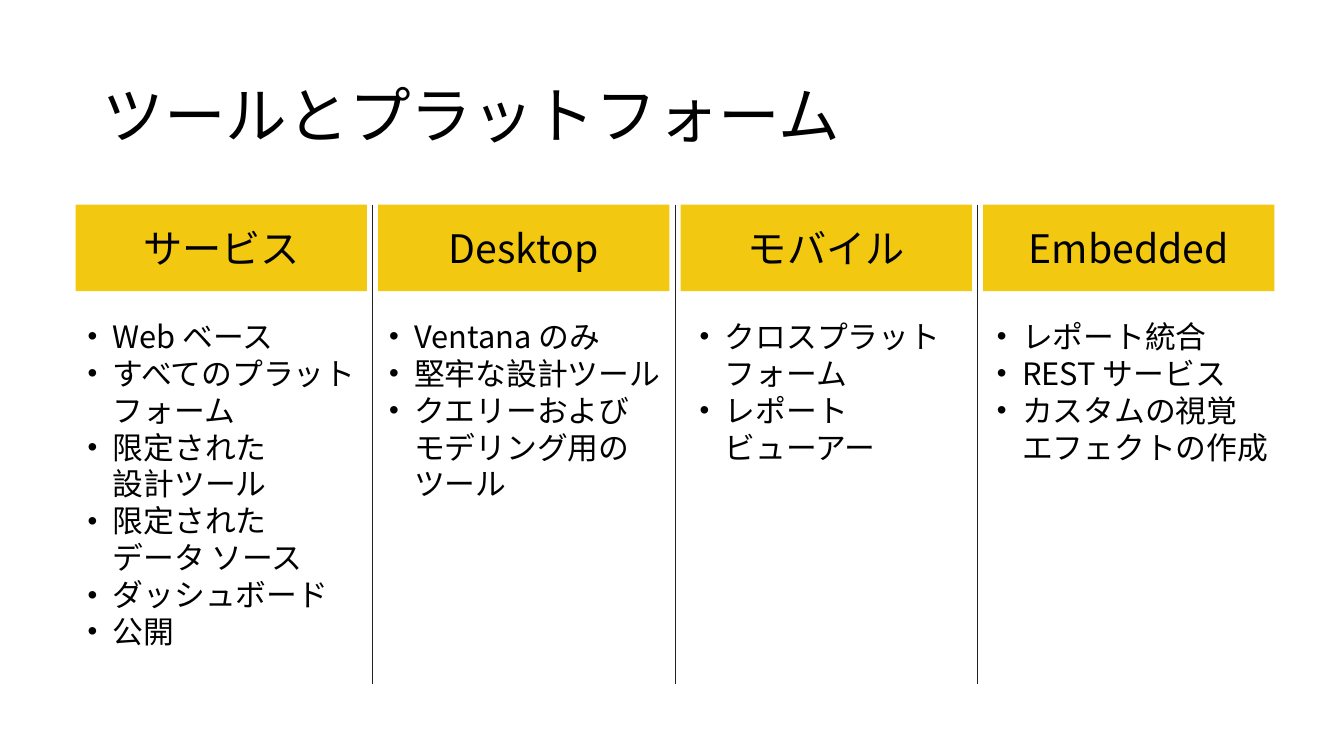
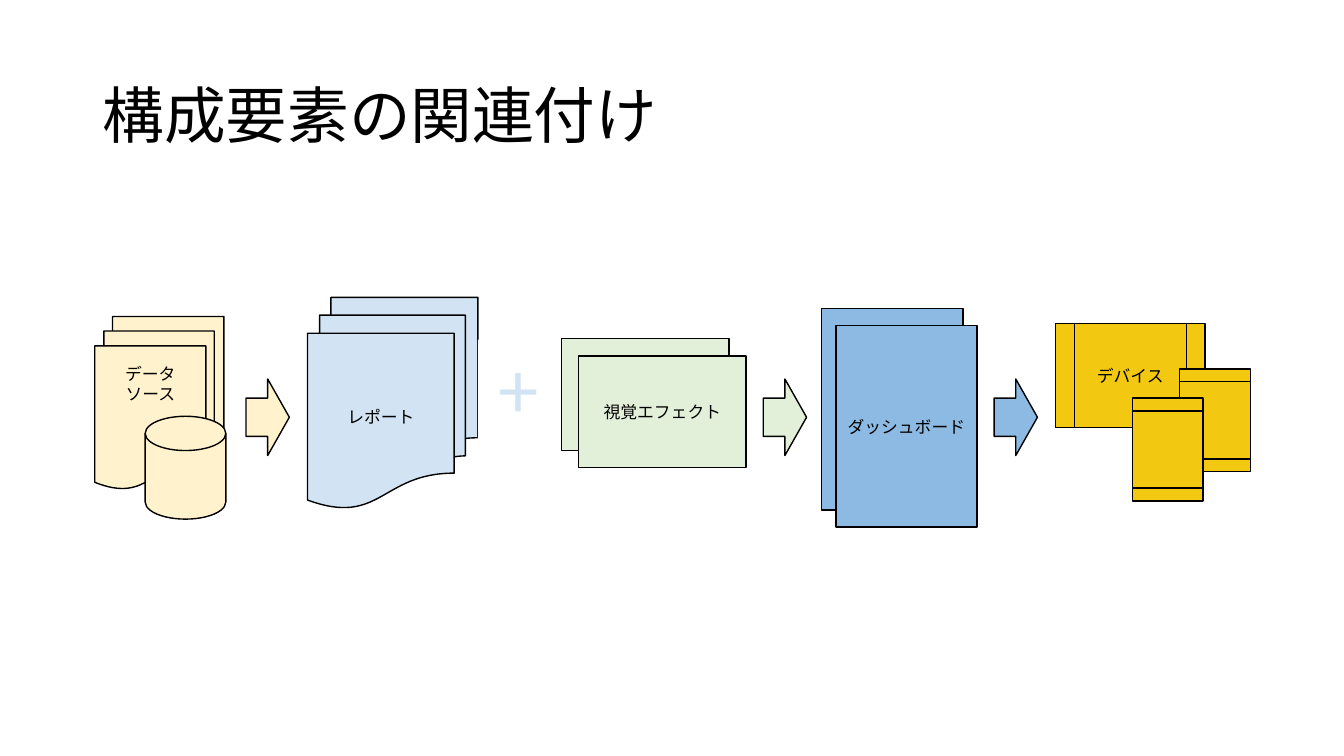
from pptx import Presentation
from pptx.dml.color import RGBColor
from pptx.enum.shapes import MSO_CONNECTOR, MSO_SHAPE as SHAPE
from pptx.enum.text import MSO_ANCHOR as ANCHOR, PP_ALIGN as ALIGN
from pptx.oxml.ns import qn
from pptx.util import Inches, Pt
from lxml.etree import SubElement

# Shared style
FONT = "Noto Sans CJK JP"
BLACK = RGBColor(0x00, 0x00, 0x00)
WHITE = RGBColor(0xFF, 0xFF, 0xFF)
RULE = RGBColor(0x21, 0x21, 0x21)
YELLOW = RGBColor(0xF2, 0xC8, 0x11)
CREAM = RGBColor(0xFF, 0xF2, 0xCC)
PALE_BLUE = RGBColor(0xD2, 0xE4, 0xF4)
GREEN = RGBColor(0xE2, 0xF0, 0xD9)
BLUE = RGBColor(0x8C, 0xBA, 0xE2)
TITLE_BOX = (0.92, 0.4, 11.5, 1.45)
LINE_PITCH = 1.2  # line height as a multiple of the text size

# Slide 1: heading, indent of the list in its column, list width, bullets
PLATFORM_TITLE = "ツールとプラットフォーム"
PLATFORMS = [
    ("サービス", 0.02, 2.82, ["Web ベース", "すべてのプラットフォーム", "限定された\n設計ツール",
                          "限定された\nデータ ソース", "ダッシュボード", "公開"]),
    ("Desktop", 0.01, 2.82, ["Ventana のみ", "堅牢な設計ツール",
                             "クエリーおよび\nモデリング用のツール"]),
    ("モバイル", 0.09, 2.74, ["クロスプラットフォーム", "レポート\nビューアー"]),
    ("Embedded", 0.04, 2.86, ["レポート統合", "REST サービス",
                              "カスタムの視覚\nエフェクトの作成"]),
]
COLUMN_LEFT, COLUMN_PITCH, HEADING_WIDTH = 0.75, 3.0, 2.89
HEADING_TOP, HEADING_HEIGHT = 2.03, 0.86
LIST_TOP, LIST_HEIGHT, DIVIDER_BOTTOM = 3.1, 3.43, 6.79

# Slide 2: preset, box, fill, label, rotation, bottom inset; back to front
FLOW_TITLE = "構成要素の関連付け"
FLOW = [
    (SHAPE.FLOWCHART_MULTIDOCUMENT, (0.94, 3.14, 1.28, 1.71), CREAM, "データ\nソース", 0, 0.65),
    (SHAPE.FLOWCHART_MAGNETIC_DISK, (1.44, 4.13, 0.8, 1.02), CREAM, "", 0, 0.05),
    (SHAPE.FLOWCHART_MULTIDOCUMENT, (3.05, 2.95, 1.69, 2.09), PALE_BLUE, "レポート", 0, 0.05),
    (SHAPE.RECTANGLE, (5.57, 3.36, 1.66, 1.11), GREEN, "", 0, 0.05),
    (SHAPE.RECTANGLE, (5.74, 3.53, 1.66, 1.11), GREEN, "視覚エフェクト", 0, 0.05),
    (SHAPE.FLOWCHART_PREDEFINED_PROCESS, (10.47, 3.21, 1.48, 1.03), YELLOW, "デバイス", 0, 0.05),
    (SHAPE.FLOWCHART_PREDEFINED_PROCESS, (11.54, 3.82, 1.02, 0.7), YELLOW, "", 90, 0.05),
    (SHAPE.FLOWCHART_PREDEFINED_PROCESS, (11.07, 4.11, 1.02, 0.7), YELLOW, "", 90, 0.05),
    (SHAPE.RECTANGLE, (8.15, 3.06, 1.4, 2.0), BLUE, "", 0, 0.05),
    (SHAPE.RECTANGLE, (8.29, 3.23, 1.4, 2.0), BLUE, "ダッシュボード", 0, 0.05),
]
ARROWS = [(2.44, CREAM), (7.57, GREEN), (9.86, BLUE)]
ARROW_TOP, ARROW_WIDTH, ARROW_HEIGHT = 3.76, 0.43, 0.76
PLUS_BOX = (4.74, 3.37, 0.81, 1.01)


def write(paragraph, text, size, color=BLACK, align=ALIGN.LEFT):
    """Add text run by run, with a line break at each newline."""
    paragraph.alignment = align
    for number, line in enumerate(text.split("\n")):
        if number:
            paragraph.add_line_break()
            paragraph.line_spacing = Pt(size * LINE_PITCH)
        run = paragraph.add_run()
        run.text = line
        run.font.size, run.font.name = Pt(size), FONT
        run.font.color.rgb = color
        SubElement(run.font._element, qn("a:ea"), typeface=FONT)


def add_text_box(slide, box, anchor=ANCHOR.TOP, wrap=True):
    text_box = slide.shapes.add_textbox(*map(Inches, box))
    frame = text_box.text_frame
    frame.word_wrap, frame.vertical_anchor = wrap, anchor
    return text_box


def add_block(slide, preset, box, fill, label="", size=12, outline=True, bottom_inset=0.05):
    block = slide.shapes.add_shape(preset, *map(Inches, box))
    block.shadow.inherit = False
    block.fill.solid()
    block.fill.fore_color.rgb = fill
    if outline:
        block.line.color.rgb, block.line.width = BLACK, Pt(1)
    else:
        block.line.fill.background()
    if label:
        frame = block.text_frame
        frame.word_wrap, frame.vertical_anchor = True, ANCHOR.MIDDLE
        frame.margin_bottom = Inches(bottom_inset)
        write(frame.paragraphs[0], label, size, align=ALIGN.CENTER)
    return block


def add_bullets(slide, box, items):
    frame = add_text_box(slide, box).text_frame
    frame.margin_right = 0
    for number, item in enumerate(items):
        paragraph = frame.add_paragraph() if number else frame.paragraphs[0]
        write(paragraph, item, 22)
        paragraph.line_spacing = Pt(22 * LINE_PITCH)
        properties = paragraph._p.get_or_add_pPr()
        properties.set("marL", str(Inches(0.25)))
        properties.set("indent", str(-Inches(0.25)))
        SubElement(properties, qn("a:buSzPct"), val="90000")
        SubElement(properties, qn("a:buFont"), typeface="Arial")
        SubElement(properties, qn("a:buChar"), char="•")


def add_divider(slide, x):
    divider = slide.shapes.add_connector(
        MSO_CONNECTOR.STRAIGHT, *map(Inches, (x, HEADING_TOP, x, DIVIDER_BOTTOM)))
    divider.line.color.rgb, divider.line.width = RULE, Pt(0.5)
    SubElement(divider._element.spPr, qn("a:effectLst"))


def add_titled_slide(deck, title):
    slide = deck.slides.add_slide(deck.slide_layouts[6])
    frame = add_text_box(slide, TITLE_BOX, ANCHOR.MIDDLE).text_frame
    write(frame.paragraphs[0], title, 44)
    return slide


def build_platforms(deck):
    slide = add_titled_slide(deck, PLATFORM_TITLE)
    for column, (heading, indent, width, items) in enumerate(PLATFORMS):
        left = COLUMN_LEFT + column * COLUMN_PITCH
        add_block(slide, SHAPE.RECTANGLE, (left, HEADING_TOP, HEADING_WIDTH, HEADING_HEIGHT),
                  YELLOW, heading, 28, outline=False)
        add_bullets(slide, (left + indent, LIST_TOP, width, LIST_HEIGHT), items)
        if column:
            add_divider(slide, left - (COLUMN_PITCH - HEADING_WIDTH) / 2)


def build_flow(deck):
    slide = add_titled_slide(deck, FLOW_TITLE)
    for preset, box, fill, label, rotation, inset in FLOW:
        add_block(slide, preset, box, fill, label, bottom_inset=inset).rotation = rotation
    for left, fill in ARROWS:
        add_block(slide, SHAPE.RIGHT_ARROW, (left, ARROW_TOP, ARROW_WIDTH, ARROW_HEIGHT), fill)
    # Plus sign between reports and visuals
    plus = add_text_box(slide, PLUS_BOX, ANCHOR.MIDDLE, wrap=False)
    plus.fill.solid()
    plus.fill.fore_color.rgb = WHITE
    write(plus.text_frame.paragraphs[0], "+", 54, PALE_BLUE, ALIGN.CENTER)


def main():
    deck = Presentation()
    deck.slide_width, deck.slide_height = Inches(13.33), Inches(7.5)
    build_platforms(deck)
    build_flow(deck)
    deck.save("out.pptx")


if __name__ == "__main__":
    main()
